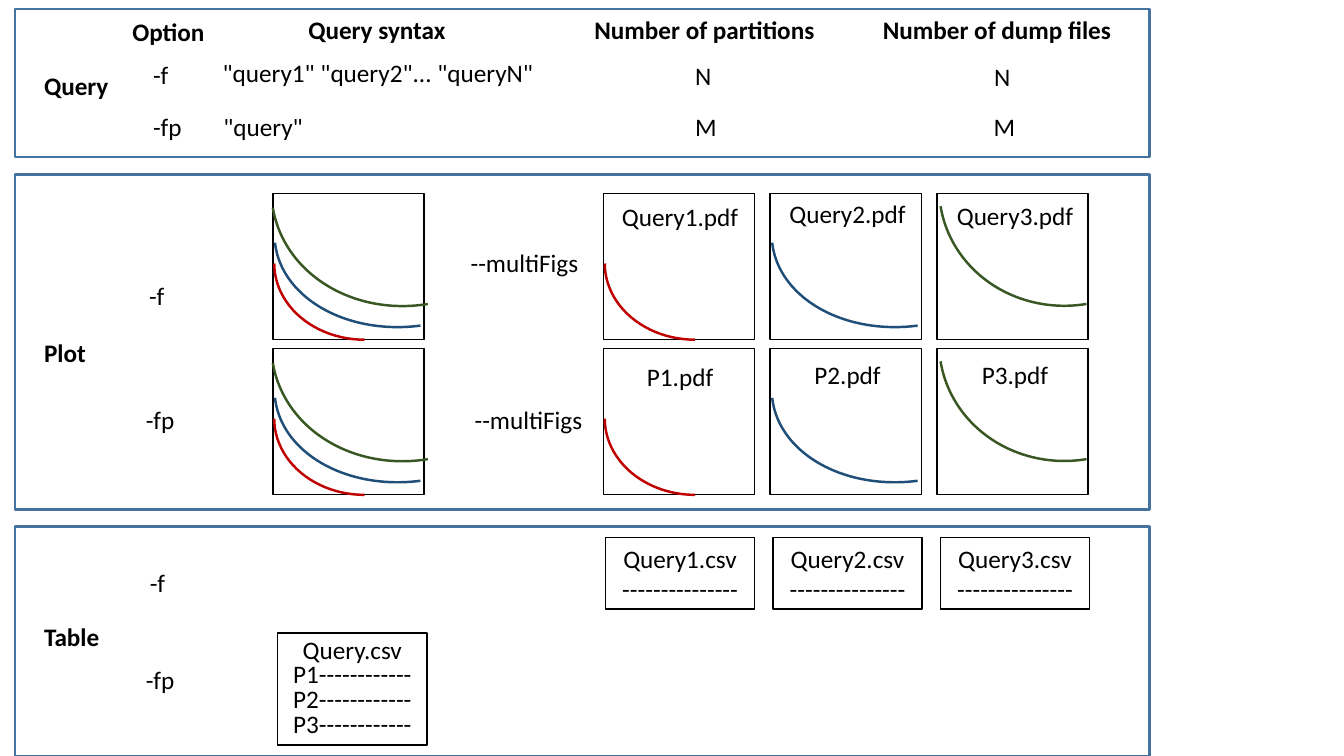
from lxml import etree
from pptx import Presentation
from pptx import util as u
from pptx.dml import color
from pptx.enum import shapes, text

COLORS = {"text": "000000", "frame": "43739E", "red": "C00000",
          "blue": "1F4E79", "green": "385723"}
FONT = {"name": "Calibri", "size": u.Pt(18)}
LEFT, CENTER = text.PP_ALIGN.LEFT, text.PP_ALIGN.CENTER
RECT, ARC = shapes.MSO_SHAPE.RECTANGLE, shapes.MSO_SHAPE.ARC

REGION_X, REGION_W = 0.38, 28.6
TITLE_X = 0.48
LABEL_H = 1.02
PLOT_W, PLOT_H = 3.81, 3.68
COLUMN_X, COLUMN_STEP = 14.83, 4.2
FILE_X, FILE_STEP, FILE_W = 14.88, 4.22, 3.76

# Offset from the plot corner, size, rotation and start adjustment
CURVES = {
    "red": (0.03, -0.16, 4.55, 3.84, 180, 162),
    "blue": (0.03, -1.6, 6.63, 4.95, 173.8, 160.58),
    "green": (-0.05, -3.23, 6.91, 6.05, 170.7, 161.93),
}
SINGLE_CURVES = {**CURVES, "green": (0.05, -3.23, 6.45, 6.05, 170.7, 161.93)}


def outline(parent, kind, x, y, w, h, hue="text", width=1):
    """Add an unfilled shape with a coloured line."""
    sp = parent.add_shape(kind, u.Cm(x), u.Cm(y), u.Cm(w), u.Cm(h))
    sp.shadow.inherit = False
    sp.fill.background()
    sp.line.color.rgb = color.RGBColor.from_string(COLORS[hue])
    sp.line.width = u.Pt(width)
    return sp


def write(sp, lines, align, bold=False, wrap=True, spacing=None):
    tf = sp.text_frame
    tf.word_wrap = wrap
    tf.auto_size = text.MSO_AUTO_SIZE.SHAPE_TO_FIT_TEXT
    for i, line in enumerate(lines):
        p = tf.add_paragraph() if i else tf.paragraphs[0]
        p.alignment = align
        p.line_spacing = spacing
        r = p.add_run()
        r.text = line
        for key, value in {**FONT, "bold": bold}.items():
            setattr(r.font, key, value)
        r.font.color.rgb = color.RGBColor.from_string(COLORS["text"])


def label(s, x, y, w, words, align=LEFT, **style):
    sp = s.shapes.add_textbox(u.Cm(x), u.Cm(y), u.Cm(w), u.Cm(LABEL_H))
    write(sp, [words], align, **style)


def region(s, top, h, title, title_y, title_w):
    outline(s.shapes, RECT, REGION_X, top, REGION_W, h, "frame", 2)
    label(s, REGION_X + TITLE_X, top + title_y, title_w, title, bold=True)


def plot(s, x, y, hues, curves):
    """Group a square frame with its decay curves."""
    group = s.shapes.add_group_shape().shapes
    outline(group, RECT, x, y, PLOT_W, PLOT_H)
    for hue in hues:
        dx, dy, w, h, rotation, start = curves[hue]
        arc = outline(group, ARC, x + dx, y + dy, w, h, hue, 1.75)
        arc.rotation = rotation
        arc.adjustments[0] = start


def file_box(s, x, y, h, lines, spacing=None):
    sp = outline(s.shapes, RECT, x, y, FILE_W, h)
    write(sp, lines, CENTER, spacing=spacing)


def query_region(s, x, top):
    region(s, top, 3.73, "Query", 1.42, 2.16)
    headings = [(1.45, 0.05, 4.83, "Option", CENTER),
                (5.31, 0, 7.62, "Query syntax", CENTER),
                (14.35, 0, 6.1, "Number of partitions", LEFT),
                (21.62, 0, 6.55, "Number of dump files", LEFT)]
    for dx, dy, w, words, align in headings:
        label(s, x + dx, top + dy, w, words, align, bold=True)
    cells = [(3.23, 1.14, 1.52, "-f", LEFT),
             (3.23, 2.44, 1.52, "-fp", LEFT),
             (15.29, 1.17, 4.11, "N", CENTER),
             (15.44, 2.44, 3.94, "M", CENTER),
             (24.08, 1.19, 1.6, "N", CENTER),
             (24.26, 2.46, 1.35, "M", CENTER)]
    for dx, dy, w, words, align in cells:
        label(s, x + dx, top + dy, w, words, align)
    label(s, x + 4.98, top + 1.09, 8.43,
          '"query1" "query2"... "queryN"', wrap=False)
    label(s, x + 5, top + 2.44, 2.54, '"query"', wrap=False)


def plot_region(s, x, top):
    region(s, top, 8.46, "Plot", 3.99, 1.83)
    # Plot top, option name and place, flag place, file names with their tops
    rows = [(0.49, "-f", 3.13, 2.54, 11.23, 1.73,
             [("Query1.pdf", 0.56), ("Query2.pdf", 0.49), ("Query3.pdf", 0.54)]),
            (4.4, "-fp", 3.05, 5.67, 11.33, 5.67,
             [("P1.pdf", 4.6), ("P2.pdf", 4.53), ("P3.pdf", 4.55)])]
    for plot_y, option, option_x, option_y, flag_x, flag_y, files in rows:
        label(s, x + option_x, top + option_y, 1.52, option)
        label(s, x + flag_x, top + flag_y, 3.5, "--multiFigs")
        plot(s, x + 6.5, top + plot_y, CURVES, CURVES)
        for i, (hue, (name, name_y)) in enumerate(zip(CURVES, files)):
            plot(s, x + COLUMN_X + i * COLUMN_STEP, top + plot_y,
                 [hue], SINGLE_CURVES)
            label(s, x + FILE_X + i * FILE_STEP, top + name_y, FILE_W,
                  name, CENTER)


def table_region(s, x, top):
    region(s, top, 5.79, "Table", 2.28, 2.16)
    label(s, x + 3.15, top + 0.91, 1.52, "-f")
    label(s, x + 3.05, top + 3.35, 1.52, "-fp")
    for i in range(3):
        file_box(s, x + FILE_X + i * FILE_STEP, top + 0.29, 1.8,
                 [f"Query{i + 1}.csv", "-" * 15])
    partitions = [f"P{n}" + "-" * 12 for n in (1, 2, 3)]
    file_box(s, x + 6.62, top + 2.69, 2.82, ["Query.csv", *partitions],
             u.Pt(17.6))


def main():
    prs = Presentation()
    prs.slide_width, prs.slide_height = u.Cm(33.87), u.Cm(19.05)
    s = prs.slides.add_slide(prs.slide_layouts[6])
    query_region(s, REGION_X, 0.23)
    plot_region(s, REGION_X, 4.39)
    table_region(s, REGION_X, 13.26)
    prs.save("out.pptx")


if __name__ == "__main__":
    main()
